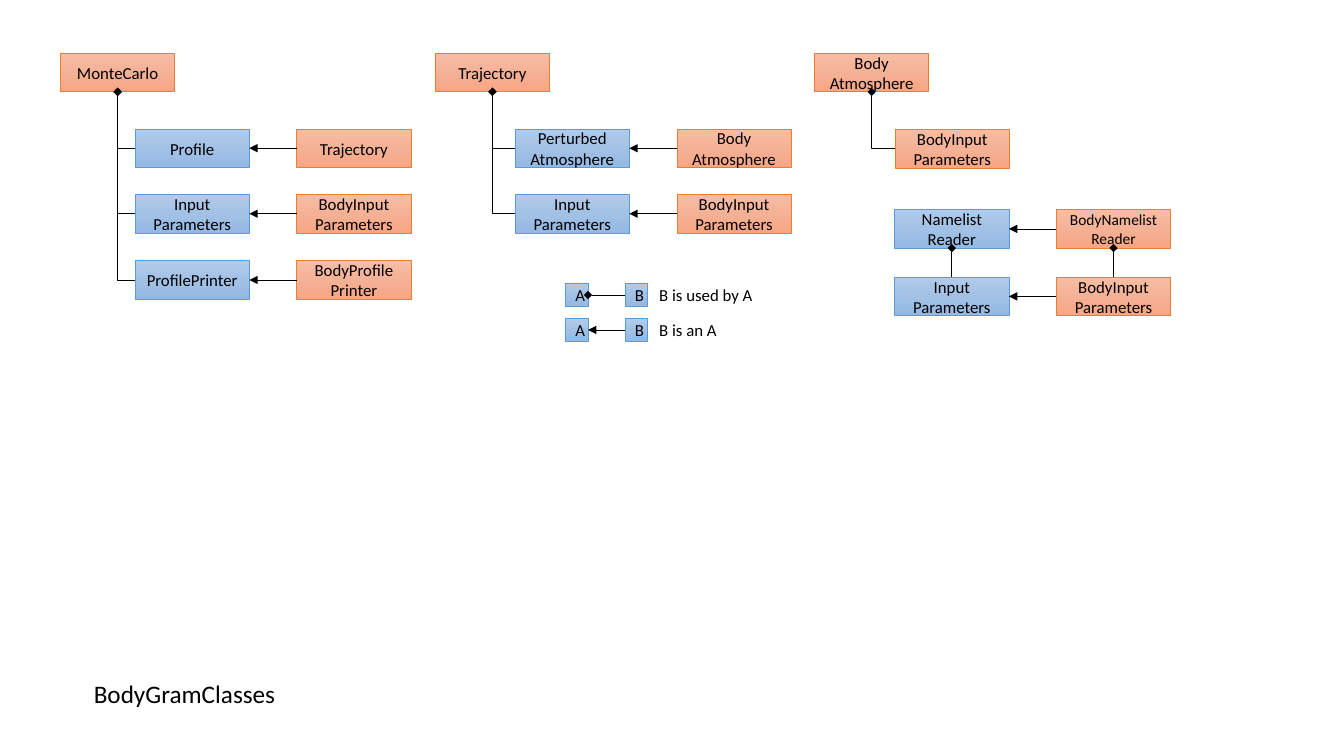
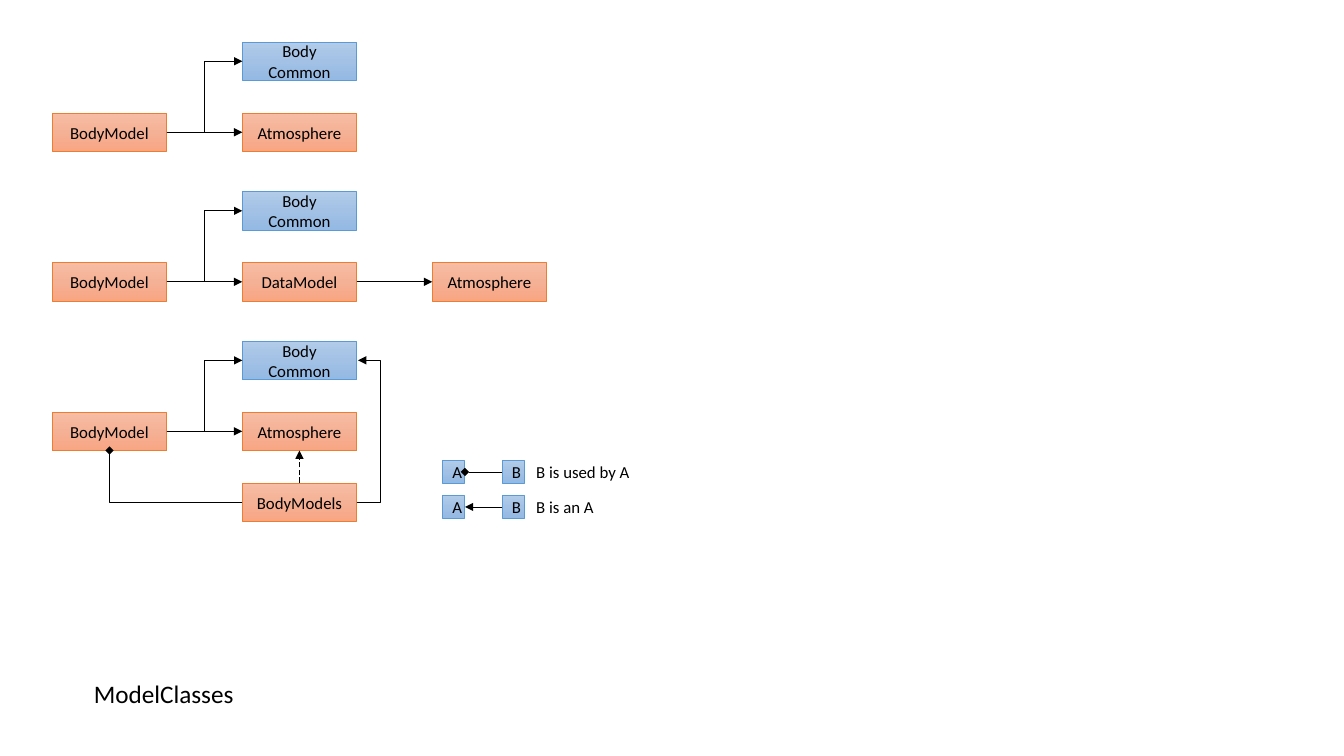
"""Build two class-relationship diagram slides."""
from copy import deepcopy
from dataclasses import dataclass
from enum import IntEnum

from lxml.etree import SubElement
from pptx import Presentation
from pptx.dml.color import RGBColor
from pptx.enum.dml import MSO_LINE_DASH_STYLE as Dash
from pptx.enum.shapes import MSO_CONNECTOR as Route, MSO_SHAPE as Preset
from pptx.enum.text import MSO_ANCHOR as Anchor, MSO_AUTO_SIZE as Fit, PP_ALIGN as Align
from pptx.oxml.ns import qn
from pptx.shapes.autoshape import Shape
from pptx.slide import Slide
from pptx.text.text import TextFrame
from pptx.util import Pt

FONT = "Calibri"
BLACK = "000000"
BOX_WIDTH, BOX_HEIGHT = 81.6, 27.4
KEY_SIZE, KEY_STEP = 16, 25


@dataclass(frozen=True)
class Style:
    """Gradient stops and outline of a class box."""
    stops: tuple[str, str, str]
    outline: str


BASE = Style(("B1CBE9", "A3C1E5", "93B9E4"), "5B9BD5")
BODY = Style(("F7BDA5", "F5B196", "F8A582"), "ED7D31")


class Side(IntEnum):
    """Connection sites of a rectangle."""
    TOP = 0
    LEFT = 1
    BOTTOM = 2
    RIGHT = 3


@dataclass(frozen=True)
class Node:
    """A class box with its top left corner."""
    text: str
    left: float
    top: float
    style: Style = BODY
    size: float = 12


@dataclass(frozen=True)
class Link:
    """A connector between two named boxes."""
    source: str
    source_side: Side
    target: str
    target_side: Side
    head: str = "triangle"
    bend: str = ""
    dashed: bool = False
    detour: float = 0


def color(value: str) -> RGBColor:
    """Turn a hex string into a colour."""
    return RGBColor.from_string(value)


def write(frame: TextFrame, text: str, *, size: float = 12, align: Align = Align.LEFT,
          anchor: Anchor = Anchor.TOP, wrap: bool = False) -> None:
    """Fill a text frame with formatted text."""
    frame.text = text
    frame.word_wrap = wrap
    frame.auto_size = Fit.NONE
    frame.vertical_anchor = anchor
    for para in frame.paragraphs:
        para.alignment = align
        for span in para.runs:
            span.font.name = FONT
            span.font.size = Pt(size)
            span.font.color.rgb = color(BLACK)


def add_box(page: Slide, node: Node, width: float = BOX_WIDTH,
            height: float = BOX_HEIGHT) -> Shape:
    """Draw a class box with a vertical gradient."""
    box = page.shapes.add_shape(Preset.RECTANGLE, Pt(node.left), Pt(node.top),
                                Pt(width), Pt(height))
    box.shadow.inherit = False
    box.fill.gradient()
    box.fill.gradient_angle = 270
    first = box._element.spPr.find(".//" + qn("a:gs"))
    first.addnext(deepcopy(first))
    for index, stop in enumerate(box.fill.gradient_stops):
        stop.position = index / 2
        stop.color.rgb = color(node.style.stops[index])
    box.line.color.rgb = color(node.style.outline)
    box.line.width = Pt(0.5)
    write(box.text_frame, node.text, size=node.size, align=Align.CENTER,
          anchor=Anchor.MIDDLE, wrap=True)
    return box


def add_link(page: Slide, boxes: dict[str, Shape], link: Link) -> None:
    """Connect two boxes with an arrow or diamond at the target."""
    route = Route.ELBOW if link.bend else Route.STRAIGHT
    line = page.shapes.add_connector(route, 0, 0, 0, 0)
    line.begin_connect(boxes[link.source], link.source_side)
    line.end_connect(boxes[link.target], link.target_side)
    line.line.color.rgb = color(BLACK)
    line.line.width = Pt(0.5)
    if link.dashed:
        line.line.dash_style = Dash.LONG_DASH
    properties = line._element.spPr
    SubElement(line.line._get_or_add_ln(), qn("a:tailEnd"), type=link.head)
    SubElement(properties, qn("a:effectLst"))
    geometry = properties.find(qn("a:prstGeom"))
    frame = properties.find(qn("a:xfrm"))
    if link.bend == "corner":
        geometry.set("prst", "bentConnector2")
        for flip in ("flipH", "flipV"):
            frame.attrib.pop(flip, None)
        frame.set("rot", "10800000")
    if link.detour:
        frame.attrib.pop("flipH", None)
        line.width = Pt(1)
        SubElement(geometry.find(qn("a:avLst")), qn("a:gd"), name="adj1",
                   fmla=f"val {round(link.detour * 100000)}")


def add_legend(page: Slide, left: float, top: float) -> None:
    """Explain the two connector ends."""
    for row, (label, head) in enumerate((("B is used by A", "diamond"),
                                         ("B is an A", "triangle"))):
        y = top + row * KEY_STEP
        keys = {name: add_box(page, Node(name, x, y, BASE), KEY_SIZE, KEY_SIZE)
                for name, x in (("A", left), ("B", left + 42.5))}
        add_link(page, keys, Link("B", Side.LEFT, "A", Side.RIGHT, head))
        caption = page.shapes.add_textbox(Pt(left + 59.8), Pt(y - 3), Pt(82), Pt(21.8))
        write(caption.text_frame, label)


def add_page(deck: Presentation, title: str, nodes: dict[str, Node], links: list[Link],
             legend: tuple[float, float]) -> None:
    """Add one titled diagram slide."""
    page = deck.slides.add_slide(deck.slide_layouts.get_by_name("Title Only"))
    heading = page.shapes.title
    heading.left, heading.top, heading.width, heading.height = map(Pt, (59.8, 481, 146, 29))
    write(heading.text_frame, title, size=18)
    boxes = {name: add_box(page, node) for name, node in nodes.items()}
    for link in links:
        add_link(page, boxes, link)
    add_legend(page, *legend)


def owned_by(child: str, parent: str) -> Link:
    """Hang a child below its owner."""
    return Link(child, Side.LEFT, parent, Side.BOTTOM, "diamond", "corner")


def add_body_classes(deck: Presentation) -> None:
    """Draw the body classes and their base classes."""
    owner_top, pair_gap = 38.2, 115.5
    first, second, third = 92.2, 139, 186.3
    reader, parameters = 149.8, 198
    nodes = {
        "monte": Node("MonteCarlo", 43.2, owner_top),
        "trajectory": Node("Trajectory", 311, owner_top),
        "atmosphere": Node("Body\nAtmosphere", 581.8, owner_top),
        "atmosphere input": Node("BodyInput\vParameters", 639.4, 92.6),
    }
    pairs = (
        ("monte", 96.5, first, "Profile", "Trajectory", 12),
        ("monte", 96.5, second, "Input\vParameters", "BodyInput\vParameters", 12),
        ("monte", 96.5, third, "ProfilePrinter", "BodyProfile\nPrinter", 12),
        ("trajectory", 368, first, "Perturbed\vAtmosphere", "Body\nAtmosphere", 12),
        ("trajectory", 368, second, "Input\vParameters", "BodyInput\vParameters", 12),
        ("", 639.1, reader, "Namelist\nReader", "BodyNamelist\nReader", 11),
        ("", 639.1, parameters, "Input\vParameters", "BodyInput\vParameters", 12),
    )
    links = [owned_by("atmosphere input", "atmosphere")]
    for owner, left, top, base, body, size in pairs:
        base_key, body_key = f"base {left} {top}", f"body {left} {top}"
        nodes[base_key] = Node(base, left, top, BASE)
        nodes[body_key] = Node(body, left + pair_gap, top, size=size)
        links.append(Link(body_key, Side.LEFT, base_key, Side.RIGHT))
        if owner:
            links.append(owned_by(base_key, owner))
    links += [Link(f"{kind} 639.1 {parameters}", Side.TOP,
                   f"{kind} 639.1 {reader}", Side.BOTTOM, "diamond")
              for kind in ("base", "body")]
    add_page(deck, "BodyGramClasses", nodes, links, (404, 202.7))


def add_model_classes(deck: Presentation) -> None:
    """Draw three ways to derive a body model."""
    columns = [37.4 + 135.7 * index for index in range(3)]
    row_gap, group_step = 50.7, 106.8
    nodes: dict[str, Node] = {}
    links: list[Link] = []
    for group, parent in enumerate(("Atmosphere", "DataModel", "Atmosphere")):
        top = 30.1 + group * group_step
        model, common, base = f"model {group}", f"common {group}", f"parent {group}"
        nodes[common] = Node("Body\nCommon", columns[1], top, BASE)
        nodes[model] = Node("BodyModel", columns[0], top + row_gap)
        nodes[base] = Node(parent, columns[1], top + row_gap)
        links += [Link(model, Side.RIGHT, base, Side.LEFT),
                  Link(model, Side.RIGHT, common, Side.LEFT, bend="step")]
    nodes["atmosphere"] = Node("Atmosphere", columns[2], nodes["parent 1"].top)
    nodes["models"] = Node("BodyModels", columns[1], nodes["parent 2"].top + row_gap)
    links += [
        Link("parent 1", Side.RIGHT, "atmosphere", Side.LEFT),
        Link("models", Side.TOP, "parent 2", Side.BOTTOM, dashed=True),
        owned_by("models", "model 2"),
        Link("models", Side.RIGHT, "common 2", Side.RIGHT, bend="step", detour=17.3),
    ]
    add_page(deck, "ModelClasses", nodes, links, (316.1, 329.1))


def main() -> None:
    """Build and save the deck."""
    deck = Presentation()
    deck.slide_width, deck.slide_height = Pt(960), Pt(540)
    add_body_classes(deck)
    add_model_classes(deck)
    deck.save("out.pptx")


if __name__ == "__main__":
    main()
